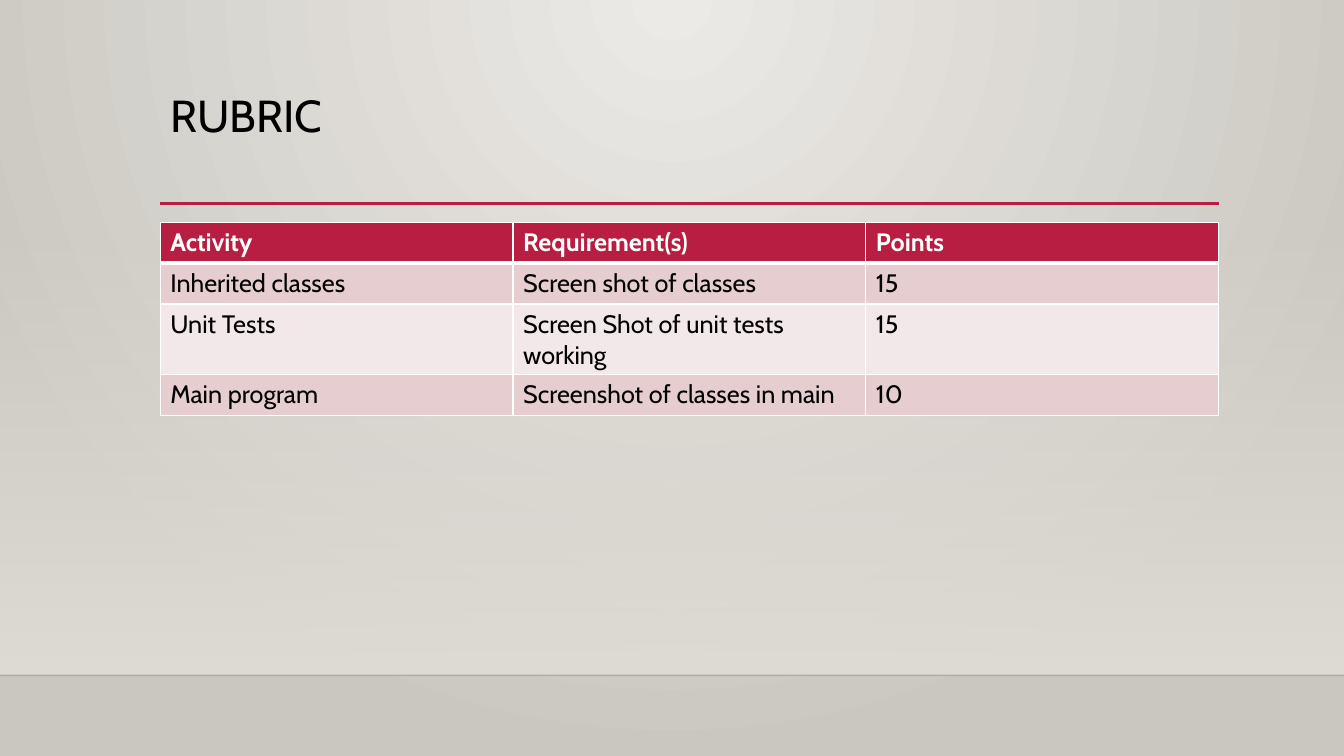
from dataclasses import dataclass
from pptx import Presentation
from pptx.dml.color import RGBColor
from pptx.enum.shapes import MSO_CONNECTOR, MSO_SHAPE
from pptx.enum.text import MSO_ANCHOR
from pptx.oxml import parse_xml
from pptx.oxml.ns import nsdecls, qn
from pptx.util import Pt

RECT = MSO_SHAPE.RECTANGLE
STRAIGHT = MSO_CONNECTOR.STRAIGHT
TOP = MSO_ANCHOR.TOP


@dataclass(frozen=True)
class Theme:
    font: str = "Cabin"
    title: int = 32
    body: int = 18
    ink: str = "000000"
    white: str = "FFFFFF"
    red: str = "B71E42"
    bands: tuple = ("E6CDCF", "F3E8E9")
    glow: str = "ECEAE7"
    edge: str = "CAC7C1"
    wall: str = "DFDBD5"
    seam: str = "000001"


def tint(color, alpha=100):
    return f'<a:srgbClr val="{color}"><a:alpha val="{alpha * 1000}"/></a:srgbClr>'


class Deck:
    def __init__(self, theme, wide, high):
        self.theme = theme
        self.show = Presentation()
        self.show.slide_width, self.show.slide_height = Pt(wide), Pt(high)
        self.slide = self.show.slides.add_slide(self.show.slide_layouts[6])
        self.shapes = self.slide.shapes

    def fade(self, owner, fill, start, end, way):
        fill.gradient()
        old = next(owner.element.iter(qn("a:gradFill")))
        new = parse_xml(
            f'<a:gradFill {nsdecls("a")} rotWithShape="1"><a:gsLst>'
            f'<a:gs pos="0">{start}</a:gs><a:gs pos="100000">{end}</a:gs>'
            f'</a:gsLst>{way}</a:gradFill>')
        old.getparent().replace(old, new)

    def ground(self, start, end):
        self.fade(self.slide, self.slide.background.fill, tint(start), tint(end),
                  '<a:path path="circle"><a:fillToRect l="43000" t="0" '
                  'r="43000" b="100000"/></a:path>')

    def panel(self, x, y, w, h, color):
        shape = self.shapes.add_shape(RECT, Pt(x), Pt(y), Pt(w), Pt(h))
        shape.shadow.inherit = False
        shape.line.fill.background()
        self.fade(shape, shape.fill, tint(color, 0), tint(color),
                  '<a:lin ang="5400000" scaled="0"/>')

    def rule(self, x, y, w, color, weight, alpha=100):
        line = self.shapes.add_connector(STRAIGHT, Pt(x), Pt(y), Pt(x + w), Pt(y))
        line.line.width = Pt(weight)
        line.line.color.rgb = RGBColor.from_string(color)
        paint = next(line.element.iter(qn("a:srgbClr")))
        paint.append(parse_xml(f'<a:alpha {nsdecls("a")} val="{alpha * 1000}"/>'))
        line.element.spPr.append(parse_xml(f'<a:effectLst {nsdecls("a")}/>'))

    def label(self, frame, text, size, color, bold=False):
        para = frame.paragraphs[0]
        para.text = text
        font = para.font
        font.name, font.size, font.bold = self.theme.font, Pt(size), bold
        font.color.rgb = RGBColor.from_string(color)
        return para

    def title(self, x, y, w, h, text):
        frame = self.shapes.add_textbox(Pt(x), Pt(y), Pt(w), Pt(h)).text_frame
        frame.word_wrap = True
        frame.vertical_anchor = TOP
        para = self.label(frame, text, self.theme.title, self.theme.ink)
        para.line_spacing = 0.9

    def border(self, cell, side, weight):
        props = cell._tc.get_or_add_tcPr()
        props.append(parse_xml(
            f'<a:ln{side} {nsdecls("a")} w="{Pt(weight)}"><a:solidFill>'
            f'{tint(self.theme.white)}</a:solidFill></a:ln{side}>'))

    def table(self, x, y, w, high, rows):
        theme = self.theme
        grid = self.shapes.add_table(len(rows), len(rows[0]), Pt(x), Pt(y),
                                     Pt(w), Pt(high * len(rows))).table
        for r, row in enumerate(rows):
            head = r == 0
            for c, text in enumerate(row):
                cell = grid.cell(r, c)
                for side in "LRTB":
                    thick = (head and side == "B") or (r == 1 and side == "T")
                    self.border(cell, side, 3 if thick else 1)
                cell.fill.solid()
                fill = theme.red if head else theme.bands[(r - 1) % 2]
                cell.fill.fore_color.rgb = RGBColor.from_string(fill)
                self.label(cell.text_frame, text, theme.body,
                           theme.white if head else theme.ink, head)


WIDE, HIGH = 960, 540
LEFT, SPAN = 114.5, 756
FLOOR = 482.4

theme = Theme()
deck = Deck(theme, WIDE, HIGH)
deck.ground(theme.glow, theme.edge)
deck.panel(0, 159, WIDE, FLOOR - 159, theme.wall)
deck.rule(0, FLOOR, WIDE, theme.seam, 1, 20)
deck.rule(LEFT, 145.2, SPAN, theme.red, 2.5)
deck.title(LEFT, 63.4, SPAN, 82.6, "RUBRIC")
deck.table(LEFT, 158.7, SPAN, 29.2, [
    ("Activity", "Requirement(s)", "Points"),
    ("Inherited classes", "Screen shot of classes", "15"),
    ("Unit Tests", "Screen Shot of unit tests working", "15"),
    ("Main program", "Screenshot of classes in main", "10"),
])
deck.show.save("out.pptx")
